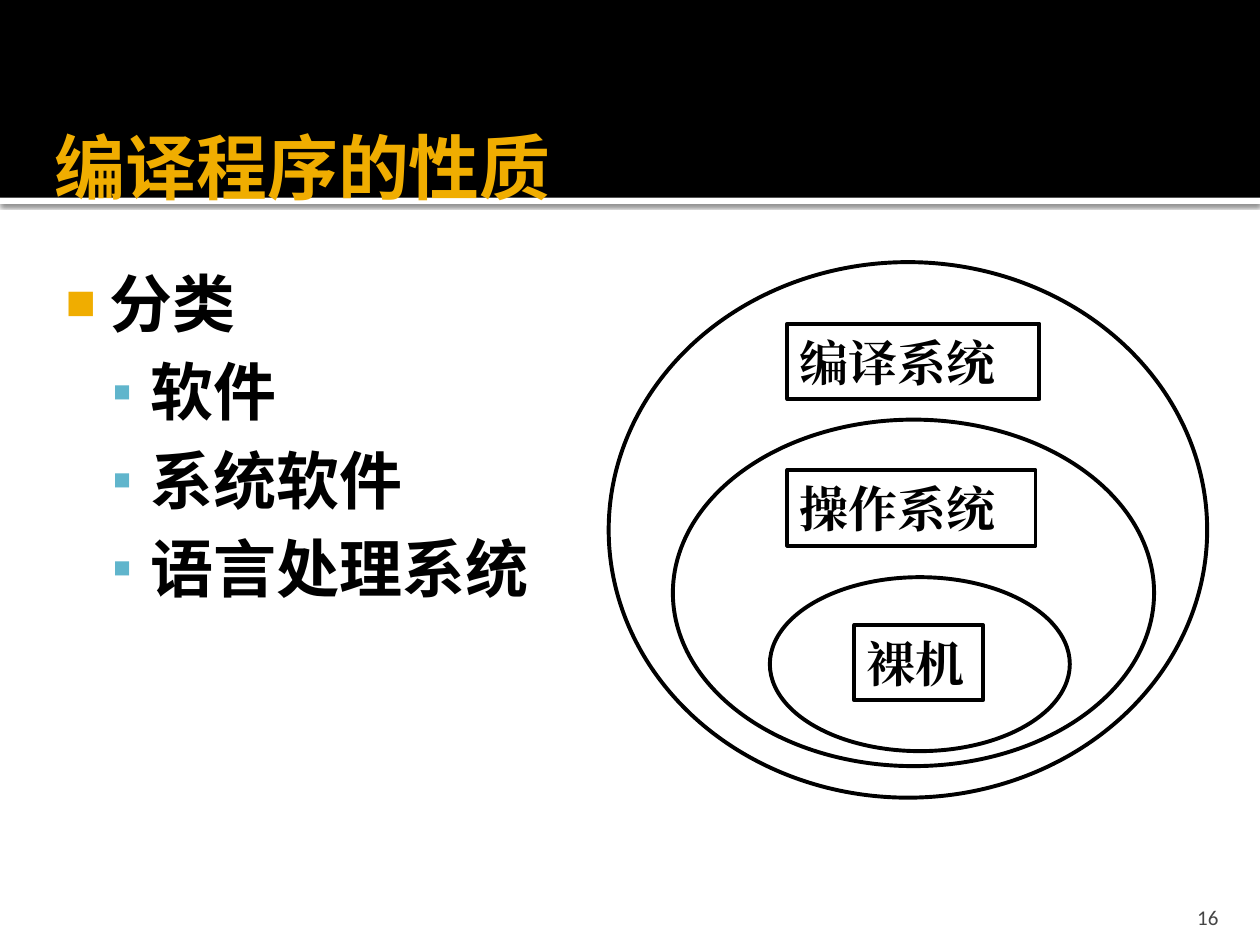
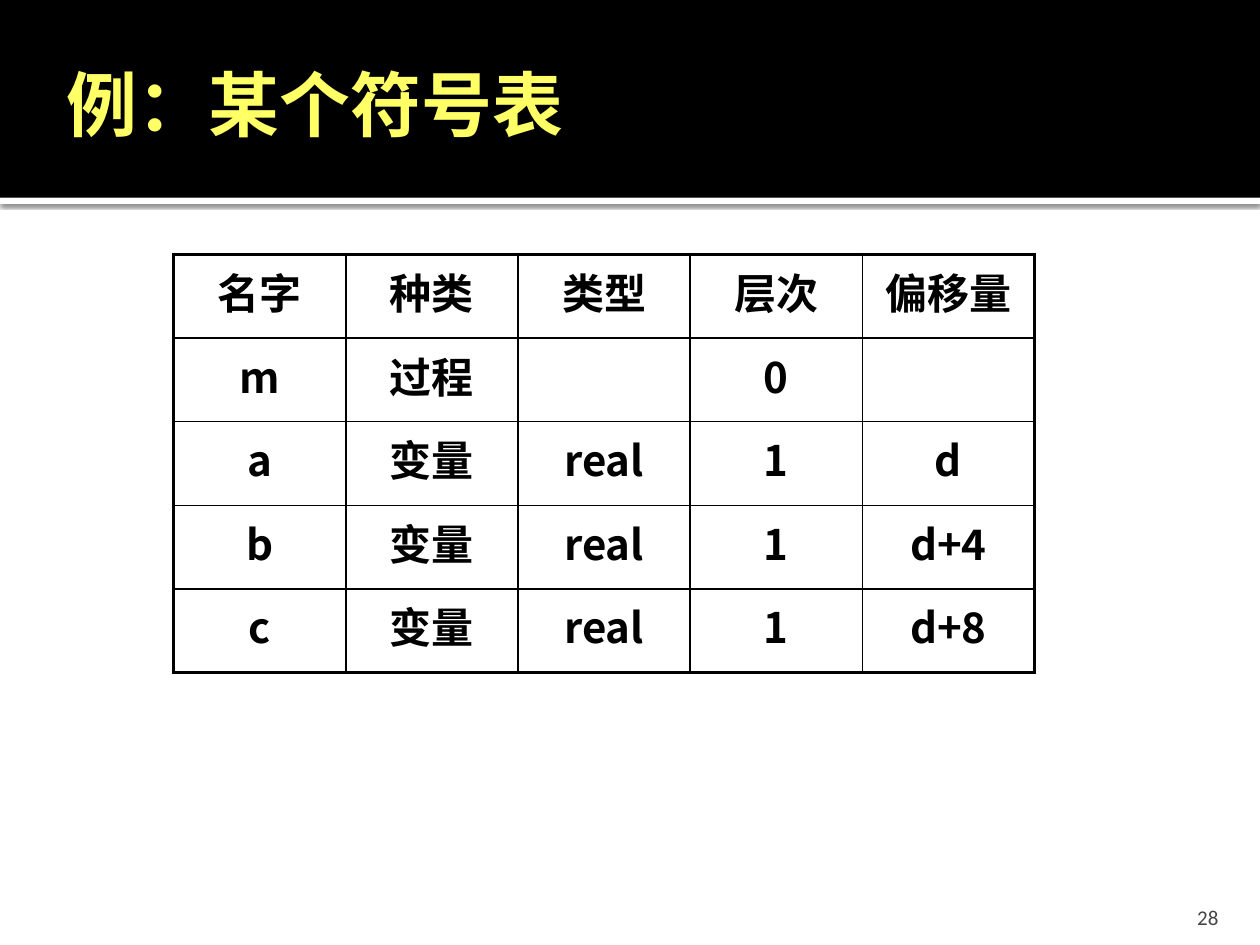
from lxml.etree import SubElement
from pptx import Presentation
from pptx.dml.color import RGBColor
from pptx.enum.shapes import MSO_SHAPE
from pptx.enum.text import MSO_ANCHOR, MSO_AUTO_SIZE, PP_ALIGN
from pptx.oxml.ns import qn
from pptx.util import Pt

BLACK = RGBColor(0x00, 0x00, 0x00)
WHITE = RGBColor(0xFF, 0xFF, 0xFF)
GOLD = RGBColor(0xF0, 0xAD, 0x00)
YELLOW = RGBColor(0xFF, 0xFF, 0x66)
TEAL = RGBColor(0x60, 0xB5, 0xCC)
GRAY = RGBColor(0x45, 0x45, 0x45)

SLIDE_WIDTH, SLIDE_HEIGHT = 720, 540
BAND_HEIGHT = 113
TITLE_ONLY, TITLE_AND_CONTENT = 5, 1
THIN, THICK = 1, 2.25

BULLETS = [
    {"character": "■", "color": GOLD, "percent": 80, "left": 34.56, "hanging": 25.2},
    {"character": "▪", "color": TEAL, "percent": 90, "left": 57.6, "hanging": 21.6},
]
CATEGORIES = [("分类", 0), ("软件", 1), ("系统软件", 1), ("语言处理系统", 1)]
LAYER_ELLIPSES = [
    (347.8, 149.8, 342, 306),
    (384.5, 239.8, 275, 198),
    (439.9, 329.8, 171.4, 99.4),
]
LAYER_LABELS = [
    ("操作系统", 450, 268.6, 141.8),
    ("编译系统", 450, 185, 144),
    ("裸机", 488.2, 357.1, 73.4),
]
LABEL_HEIGHT = 43.2
SYMBOL_ROWS = [
    ("名字", "种类", "类型", "层次", "偏移量"),
    ("m", "过程", "", "0", ""),
    ("a", "变量", "real", "1", "d"),
    ("b", "变量", "real", "1", "d+4"),
    ("c", "变量", "real", "1", "d+8"),
]


def write(paragraph, text, size, color=BLACK, font="Calibri", bold=True, align=PP_ALIGN.LEFT):
    paragraph.alignment = align
    run = paragraph.add_run()
    run.text = text
    run.font.size = Pt(size)
    run.font.bold = bold
    run.font.name = font
    run.font.color.rgb = color
    SubElement(run.font._element, qn("a:ea"), typeface=font)


def set_frame(frame, anchor, insets=(7.2, 3.6, 7.2, 3.6)):
    frame.word_wrap = True
    frame.auto_size = MSO_AUTO_SIZE.NONE
    frame.vertical_anchor = anchor
    left, top, right, bottom = (Pt(inset) for inset in insets)
    frame.margin_left, frame.margin_top = left, top
    frame.margin_right, frame.margin_bottom = right, bottom


def place(shape, left, top, width, height):
    shape.left, shape.top = Pt(left), Pt(top)
    shape.width, shape.height = Pt(width), Pt(height)


def add_solid(parent, color):
    fill = SubElement(parent, qn("a:solidFill"))
    return SubElement(fill, qn("a:srgbClr"), val=str(color))


def add_filled_shape(slide, kind, left, top, width, height, fill=WHITE, line=None):
    shape = slide.shapes.add_shape(kind, Pt(left), Pt(top), Pt(width), Pt(height))
    shape.shadow.inherit = False
    shape.fill.solid()
    shape.fill.fore_color.rgb = fill
    if line is None:
        shape.line.fill.background()
    else:
        shape.line.color.rgb = line
        shape.line.width = Pt(THICK)
    return shape


def add_bands(slide):
    stripe = add_filled_shape(slide, MSO_SHAPE.RECTANGLE, 0, BAND_HEIGHT, SLIDE_WIDTH, 3.6)
    effects = stripe.element.spPr.find(qn("a:effectLst"))
    shadow = SubElement(effects, qn("a:outerShdw"), blurRad=str(Pt(2.5)),
                        dist=str(Pt(0.8)), dir="5400000", rotWithShape="0")
    SubElement(add_solid_color(shadow, BLACK), qn("a:alpha"), val="60000")
    band = add_filled_shape(slide, MSO_SHAPE.RECTANGLE, 0, 0, SLIDE_WIDTH, BAND_HEIGHT, BLACK)
    for position, shape in enumerate((stripe, band), start=2):
        slide.shapes.element.insert(position, shape.element)


def add_solid_color(parent, color):
    return SubElement(parent, qn("a:srgbClr"), val=str(color))


def add_slide_number(slide, number):
    box = slide.shapes.add_textbox(Pt(645.8), Pt(509.8), Pt(57.6), Pt(21.6))
    set_frame(box.text_frame, MSO_ANCHOR.BOTTOM, (7.2, 3.6, 7.2, 0))
    write(box.text_frame.paragraphs[0], number, 12, GRAY, bold=False, align=PP_ALIGN.RIGHT)


def start_slide(presentation, layout, title, title_place, title_color, number):
    slide = presentation.slides.add_slide(presentation.slide_layouts[layout])
    add_bands(slide)
    place(slide.shapes.title, *title_place)
    frame = slide.shapes.title.text_frame
    set_frame(frame, MSO_ANCHOR.MIDDLE, (7.2, 3.6, 3.6, 3.6))
    write(frame.paragraphs[0], title, 40.5, title_color)
    add_slide_number(slide, number)
    return slide


def set_bullet(paragraph, character, color, percent, left, hanging):
    properties = paragraph._p.get_or_add_pPr()
    properties.set("marL", str(Pt(left)))
    properties.set("indent", str(-Pt(hanging)))
    add_solid_color(SubElement(properties, qn("a:buClr")), color)
    SubElement(properties, qn("a:buSzPct"), val=str(percent * 1000))
    SubElement(properties, qn("a:buChar"), char=character)


def fill_list(body, items, size):
    frame = body.text_frame
    set_frame(frame, MSO_ANCHOR.TOP, (4.3, 7.2, 7.2, 3.6))
    for index, (text, level) in enumerate(items):
        paragraph = frame.add_paragraph() if index else frame.paragraphs[0]
        paragraph.level = level
        set_bullet(paragraph, **BULLETS[level])
        paragraph.space_before = Pt(0.2 * size if index else 0)
        write(paragraph, text, size)


def add_layer_label(slide, text, left, top, width):
    label = add_filled_shape(slide, MSO_SHAPE.RECTANGLE, left, top, width, LABEL_HEIGHT, line=BLACK)
    set_frame(label.text_frame, MSO_ANCHOR.MIDDLE)
    write(label.text_frame.paragraphs[0], text, 28, font="Times New Roman")


def set_borders(cell, widths):
    properties = cell._tc.get_or_add_tcPr()
    for side, width in zip("LRTB", widths):
        line = SubElement(properties, qn(f"a:ln{side}"), w=str(Pt(width)))
        add_solid(line, BLACK)


def add_symbol_table(slide, rows, left, top, column_width, row_height):
    row_count, column_count = len(rows), len(rows[0])
    table = slide.shapes.add_table(
        row_count, column_count, Pt(left), Pt(top),
        Pt(column_width * column_count), Pt(row_height * row_count)).table
    table.first_row = False
    table.horz_banding = False
    for row_index, row in enumerate(rows):
        for column_index, text in enumerate(row):
            cell = table.cell(row_index, column_index)
            outer_sides = (column_index == 0, column_index == column_count - 1,
                           row_index == 0, row_index == row_count - 1)
            set_borders(cell, [THICK if outer else THIN for outer in outer_sides])
            cell.fill.background()
            if text:
                write(cell.text_frame.paragraphs[0], text, 24,
                      font="Noto Sans CJK SC", align=PP_ALIGN.CENTER)


def build_nature_slide(presentation):
    slide = start_slide(presentation, TITLE_AND_CONTENT, "编译程序的性质",
                        (23.8, 67, 670.3, 55.4), GOLD, "16")
    body = slide.placeholders[1]
    place(body, 23.8, 144, 294.5, 221.8)
    fill_list(body, CATEGORIES, 36)
    for ellipse in LAYER_ELLIPSES:
        add_filled_shape(slide, MSO_SHAPE.OVAL, *ellipse, line=BLACK)
    for label in LAYER_LABELS:
        add_layer_label(slide, *label)


def build_symbol_table_slide(presentation):
    slide = start_slide(presentation, TITLE_ONLY, "例：某个符号表",
                        (31, 31.7, 306, 54), YELLOW, "28")
    add_symbol_table(slide, SYMBOL_ROWS, 99.2, 145.4, 98.4, 47.8)


def main():
    presentation = Presentation()
    presentation.slide_width = Pt(SLIDE_WIDTH)
    presentation.slide_height = Pt(SLIDE_HEIGHT)
    build_nature_slide(presentation)
    build_symbol_table_slide(presentation)
    presentation.save("out.pptx")


if __name__ == "__main__":
    main()
